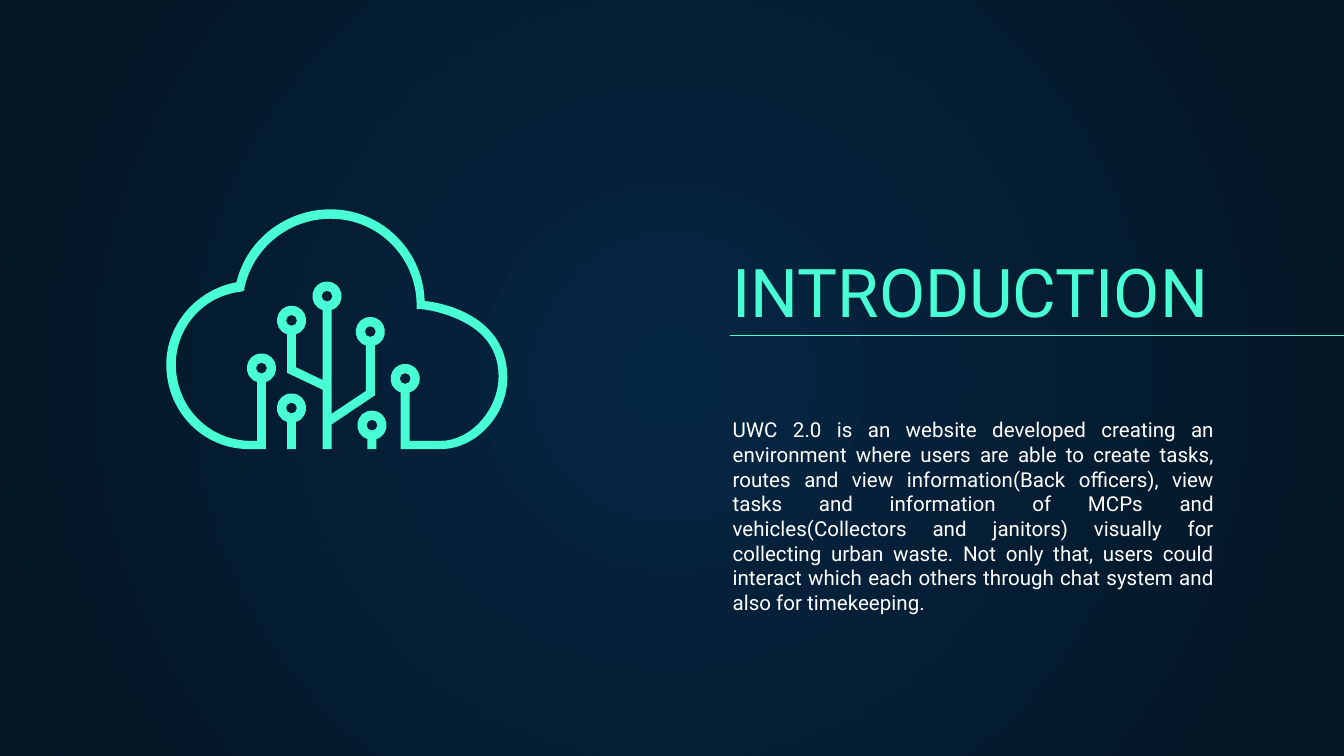
from dataclasses import dataclass
from math import asin, cos, degrees, radians, sin, tan

from lxml.etree import Element, SubElement
from pptx import Presentation
from pptx.dml.color import RGBColor
from pptx.enum.shapes import MSO_CONNECTOR
from pptx.enum.text import MSO_ANCHOR, MSO_AUTO_SIZE, PP_ALIGN
from pptx.oxml.ns import qn
from pptx.util import Pt


@dataclass(frozen=True)
class Theme:
    font: str = "Roboto"
    accent: RGBColor = RGBColor.from_string("48FFD5")
    body: RGBColor = RGBColor.from_string("FFFFFF")
    glow: RGBColor = RGBColor.from_string("052643")
    edge: RGBColor = RGBColor.from_string("041523")
    title_size: int = 36
    body_size: int = 11
    rule_width: float = 0.75


THEME = Theme()
NODE_RADIUS, HOLE_RADIUS, STEM_HALF = 7.8, 2.9, 2.4
BASE, INNER_BASE = 240.6, 236.2

INTRODUCTION = (
    "UWC 2.0 is an website developed creating an environment where users are able "
    "to create tasks, routes and view information(Back officers), view tasks and "
    "information of MCPs and vehicles(Collectors and janitors) visually for "
    "collecting urban waste. Not only that, users could interact which each others "
    "through chat system and also for timekeeping."
)


def paint_background(page):
    fill = page.background.fill
    fill.gradient()
    for stop, colour, position in zip(fill.gradient_stops, (THEME.glow, THEME.edge), (0, 1)):
        stop.color.rgb = colour
        stop.position = position
    gradient = page.element.find(".//" + qn("a:gradFill"))
    gradient.remove(gradient.find(qn("a:lin")))
    circle = SubElement(gradient, qn("a:path"), path="circle")
    SubElement(circle, qn("a:fillToRect"), l="50000", t="50000", r="50000", b="50000")


def write_text(box, text, size, colour, align, anchor):
    frame = box.text_frame
    frame.word_wrap = True
    frame.auto_size = MSO_AUTO_SIZE.NONE
    frame.vertical_anchor = anchor
    frame.margin_left = frame.margin_right = Pt(7.2)
    frame.margin_top = frame.margin_bottom = Pt(7.2)
    para = frame.paragraphs[0]
    para.alignment = align
    span = para.add_run()
    span.text = text
    span.font.name = THEME.font
    span.font.size = Pt(size)
    span.font.color.rgb = colour


def add_title(page, text):
    title = page.shapes.title
    title.left, title.top, title.width, title.height = Pt(385.2), Pt(136.8), Pt(278), Pt(47.5)
    write_text(title, text, THEME.title_size, THEME.accent, PP_ALIGN.LEFT, MSO_ANCHOR.BOTTOM)


def add_body(page, text):
    box = page.shapes.add_textbox(Pt(385.4), Pt(216.3), Pt(272.2), Pt(111.6))
    write_text(box, text, THEME.body_size, THEME.body, PP_ALIGN.JUSTIFY, MSO_ANCHOR.TOP)


def add_rule(page):
    rule = page.shapes.add_connector(
        MSO_CONNECTOR.STRAIGHT, Pt(391.3), Pt(179.7), Pt(741.6), Pt(179.7))
    rule.line.color.rgb = THEME.accent
    rule.line.width = Pt(THEME.rule_width)
    SubElement(rule.element.spPr, qn("a:effectLst"))


def line(*points):
    return [(point,) for point in points]


def arc(centre, radius, start, sweep, pieces):
    step = radians(sweep / pieces)
    reach = 4 / 3 * tan(step / 4)

    def place(angle, pull=0):
        return (centre[0] + radius * (cos(angle) - pull * sin(angle)),
                centre[1] + radius * (sin(angle) + pull * cos(angle)))

    angles = [radians(start) + step * index for index in range(pieces + 1)]
    return line(place(angles[0])) + [
        (place(a, reach), place(b, -reach), place(b)) for a, b in zip(angles, angles[1:])]


def knob(centre, turn=1):
    gap = degrees(asin(STEM_HALF / NODE_RADIUS))
    return arc(centre, NODE_RADIUS, 90 + turn * gap, turn * (360 - 2 * gap), 2)


def hole(centre):
    return arc(centre, HOLE_RADIUS, 0, 360, 4)


def bend_segments(shape, contours):
    steps = iter(list(shape.element.iter(qn("a:lnTo"))))
    for contour in contours:
        for segment in contour[1:]:
            pieces = [next(steps) for _ in segment]
            if len(pieces) == 3:
                bend = Element(qn("a:cubicBezTo"))
                pieces[0].addprevious(bend)
                for piece in pieces:
                    bend.append(piece[0])
                    piece.getparent().remove(piece)


def add_outline(group, outline, nodes):
    contours = [outline] + [hole(node) for node in nodes]
    scaled = [[(Pt(x), Pt(y)) for segment in contour for x, y in segment]
              for contour in contours]
    builder = group.shapes.build_freeform(*scaled[0][0])
    builder.add_line_segments(scaled[0][1:], close=True)
    for points in scaled[1:]:
        builder.move_to(*points[0])
        builder.add_line_segments(points[1:], close=True)
    shape = builder.convert_to_shape()
    bend_segments(shape, contours)
    shape.shadow.inherit = False
    shape.fill.solid()
    shape.fill.fore_color.rgb = THEME.accent
    shape.line.fill.background()


def add_trunk(group):
    left, middle, right = (156.2, 171.7), (175.2, 158.7), (198.4, 177.7)
    trunk_left, trunk_right = middle[0] - STEM_HALF, middle[0] + STEM_HALF
    outline = [
        *line((trunk_left, BASE), (trunk_left, 208.8), (left[0] - STEM_HALF, 199.8)),
        *knob(left),
        *line((left[0] + STEM_HALF, 196.8), (trunk_left, 203.6)),
        *knob(middle),
        *line((trunk_right, 221.8), (right[0] - STEM_HALF, 209.5)),
        *knob(right),
        *line((right[0] + STEM_HALF, 211.9), (trunk_right, 227.5), (trunk_right, BASE)),
    ]
    add_outline(group, outline, [left, middle, right])


def add_cloud(group):
    left, right = (140.1, 197.2), (217.1, 202.8)
    outline = [
        *line((227.5, 161.3)),
        ((226.8, 135.4), (206.6, 114.5), (181.4, 112.3)),
        ((156.2, 110.2), (132.5, 126.7), (126.7, 151.2)),
        ((103.7, 155.5), (87.1, 176.4), (89.3, 199.4)),
        ((91.4, 223.2), (110.9, 241.2), (134.6, BASE)),
        *line((left[0] + STEM_HALF, BASE)),
        *knob(left, -1),
        *line((left[0] - STEM_HALF, INNER_BASE), (134.6, INNER_BASE)),
        ((113, INNER_BASE), (95.8, 219.6), (94.3, 198)),
        ((92.9, 177.1), (108, 158.4), (129.6, 156.2)),
        *line((131, 155.5), (131, 154.1)),
        ((136.1, 131), (157.7, 115.2), (181.4, 117.4)),
        ((205.2, 119.5), (223.2, 139.7), (223.2, 163.4)),
        *line((223.2, 165.6), (225.4, 165.6)),
        ((232.6, 166.3), (239.8, 168.5), (246.2, 171.4)),
        ((259.9, 177.8), (267.1, 187.9), (267.1, 201.6)),
        ((267.1, 219.6), (252, INNER_BASE), (236.2, INNER_BASE)),
        *line((right[0] + STEM_HALF, INNER_BASE)),
        *knob(right, -1),
        *line((right[0] - STEM_HALF, BASE), (236.2, BASE)),
        ((254.9, BASE), (271.8, 222.6), (271.8, 202.3)),
        ((271.8, 169.2), (236.9, 162), (227.5, 161.3)),
    ]
    add_outline(group, outline, [left, right])


def add_short_stem(group, node):
    outline = [
        *line((node[0] - STEM_HALF, BASE)),
        *knob(node),
        *line((node[0] + STEM_HALF, BASE)),
    ]
    add_outline(group, outline, [node])


def main():
    deck = Presentation()
    deck.slide_width, deck.slide_height = Pt(720), Pt(405)
    page = deck.slides.add_slide(deck.slide_layouts.get_by_name("Title Only"))
    paint_background(page)
    add_title(page, "INTRODUCTION")
    add_body(page, INTRODUCTION)
    add_rule(page)
    group = page.shapes.add_group_shape()
    add_trunk(group)
    add_cloud(group)
    for node in ((156.2, 218.6), (199.3, 227.8)):
        add_short_stem(group, node)
    deck.save("out.pptx")


if __name__ == "__main__":
    main()
